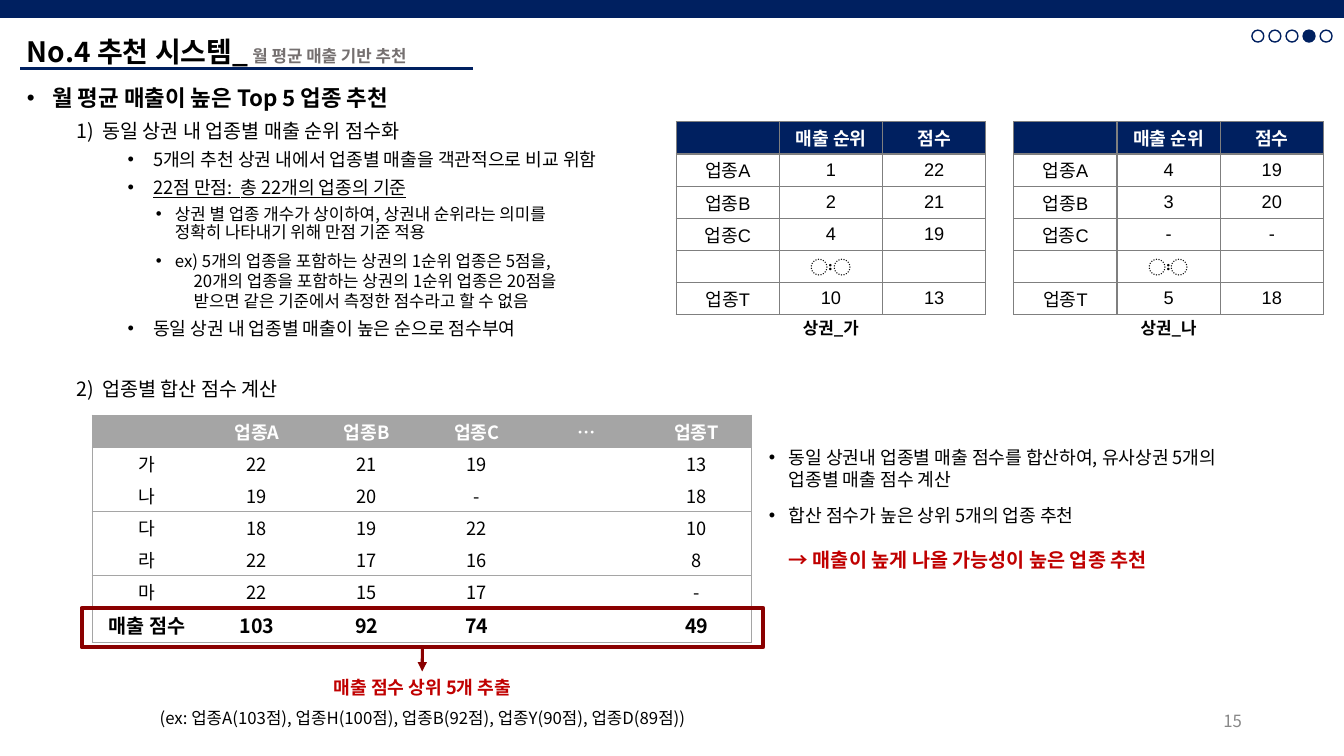
from lxml import etree
from pptx import Presentation
from pptx.dml import color
from pptx.enum import shapes, text
from pptx.oxml import ns
from pptx.util import Cm, Pt

NOTO = "Noto Sans CJK KR"
NAVY, GRAY, RED, MAROON = "002060", "A5A5A5", "C00000", "8A0000"
BLACK, WHITE = "000000", "FFFFFF"
LEFT, CENTER, RIGHT = text.PP_ALIGN.LEFT, text.PP_ALIGN.CENTER, text.PP_ALIGN.RIGHT


def rgb(value):
    return color.RGBColor.from_string(value)


def add_xml(parent, tag, **attributes):
    return etree.SubElement(parent, ns.qn(tag), attributes)


def style_span(span, size, hue=BLACK, bold=False, underline=False, font=NOTO):
    span.font.size = Pt(size)
    span.font.bold = bold
    span.font.underline = underline
    span.font.color.rgb = rgb(hue)
    span.font.name = font
    add_xml(span._r.get_or_add_rPr(), "a:ea", typeface=NOTO)


def add_bullet(para, bullet, left, hanging, level):
    props = para._p.get_or_add_pPr()
    props.set("marL", str(Cm(left)))
    props.set("indent", str(-Cm(hanging)))
    para.level = level
    if bullet == "•":
        add_xml(add_xml(props, "a:buClr"), "a:srgbClr", val=BLACK)
        add_xml(props, "a:buFont", typeface="Arial")
        add_xml(props, "a:buChar", char=bullet)
    elif bullet:
        add_xml(props, "a:buFont", typeface=NOTO)
        add_xml(props, "a:buAutoNum", type="arabicParenR", startAt=str(bullet))
    else:
        add_xml(props, "a:buNone")


def add_box(page, left, top, width, height):
    frame = page.shapes.add_textbox(Cm(left), Cm(top), Cm(width), Cm(height)).text_frame
    frame.word_wrap = True
    return frame


def write(frame, words, size, pitch=1.2, before=0, align=LEFT, **style):
    para = frame.paragraphs[0]
    if para.text:
        para = frame.add_paragraph()
    para.text = words
    para.alignment = align
    para.line_spacing = Pt(round(size * pitch, 1))
    para.space_before = Pt(before)
    for span in para.runs:
        style_span(span, size, **style)
    return para


def add_plain(page, kind, left, top, width, height, fill, line, weight):
    shape = page.shapes.add_shape(kind, Cm(left), Cm(top), Cm(width), Cm(height))
    shape.shadow.inherit = False
    if fill:
        shape.fill.solid()
        shape.fill.fore_color.rgb = rgb(fill)
    else:
        shape.fill.background()
    shape.line.color.rgb = rgb(line)
    shape.line.width = Pt(weight)
    return shape


def add_line(page, start, end, hue):
    line = page.shapes.add_connector(shapes.MSO_CONNECTOR.STRAIGHT, *map(Cm, start + end))
    line.line.color.rgb = rgb(hue)
    line.line.width = Pt(2.25)
    add_xml(line._element.spPr, "a:effectLst")
    return line


def set_borders(cell, borders):
    props = cell._tc.get_or_add_tcPr()
    for side in "LRTB":
        hue, weight = borders.get(side, (None, 0))
        line = add_xml(props, "a:ln" + side, w=str(Pt(weight)))
        if hue:
            add_xml(add_xml(line, "a:solidFill"), "a:srgbClr", val=hue)
        else:
            add_xml(line, "a:noFill")


def fill_cell(cell, words, fill, borders, size, **style):
    set_borders(cell, borders)
    if fill:
        cell.fill.solid()
        cell.fill.fore_color.rgb = rgb(fill)
    else:
        cell.fill.background()
    cell.margin_top = cell.margin_bottom = 0
    cell.vertical_anchor = text.MSO_ANCHOR.MIDDLE
    para = cell.text_frame.paragraphs[0]
    para.text = words
    para.alignment = CENTER
    for span in para.runs:
        style_span(span, size, **style)
    if not words:
        add_xml(para._p, "a:endParaRPr", sz=str(size * 100))


def add_grid(page, left, top, column, row, rows):
    count = len(rows[0])
    grid = page.shapes.add_table(len(rows), count, Cm(left), Cm(top),
                                 Cm(column * count), Cm(row * len(rows))).table
    grid.first_row = grid.horz_banding = False
    for item in grid.columns:
        item.width = Cm(column)
    for item in grid.rows:
        item.height = Cm(row)
    return grid


def add_rank_table(page, left, name, ranks):
    labels = ["업종A", "업종B", "업종C", "", "업종T"]
    rows = [("", "매출 순위", "점수")] + [(label, *pair) for label, pair in zip(labels, ranks)]
    grid = add_grid(page, left, 3.07, 2.6, 0.81, rows)
    borders = dict.fromkeys("LRTB", ("7F7F7F", 1))
    for r, row in enumerate(rows):
        for c, words in enumerate(row):
            fill_cell(grid.cell(r, c), words, WHITE if r else NAVY, borders, 13,
                      hue=BLACK if r else WHITE, bold=r == 0,
                      font=NOTO if words == "〯" else "Arial")
    caption = add_box(page, left + 2.73, 7.87, 2.34, 0.76)
    write(caption, "상권_" + name, 12, align=CENTER, bold=True)


def add_score_table(page):
    rows = [("", "업종A", "업종B", "업종C", "…", "업종T"),
            ("가", "22", "21", "19", "", "13"),
            ("나", "19", "20", "-", "", "18"),
            ("다", "18", "19", "22", "", "10"),
            ("라", "22", "17", "16", "", "8"),
            ("마", "22", "15", "17", "", "-"),
            ("매출 점수", "103", "92", "74", "", "49")]
    grid = add_grid(page, 2.32, 10.46, 2.77, 0.81, rows)
    last = len(rows) - 1
    grid.rows[last].height = Cm(0.86)
    thin, total = (GRAY, 0.75), (BLACK, 1)
    rules = {0: thin, 1: thin, 3: thin, 5: thin, last: total, last + 1: thin}
    for r, row in enumerate(rows):
        for c, words in enumerate(row):
            borders = {"T": rules.get(r, (None, 0)), "B": rules.get(r + 1, (None, 0))}
            if c == 0:
                borders["L"] = thin
            if c == len(row) - 1:
                borders["R"] = thin
            fill_cell(grid.cell(r, c), words, None if r else GRAY, borders,
                      14 if r == last else 13, hue=BLACK if r else WHITE, bold=r in (0, last))


def add_outline(page):
    frame = add_box(page, 0.43, 2.08, 16, 8.4)
    tight = 1.07
    items = [
        ("월 평균 매출이 높은 Top 5 업종 추천", 16, tight, 0, "•", 0.64, 0.64, 0, {"bold": True}),
        ("동일 상권 내 업종별 매출 순위 점수화", 14, tight, 7, 1, 1.9, 0.64, 1, {}),
        ("5개의 추천 상권 내에서 업종별 매출을 객관적으로 비교 위함", 13, tight, 6, "•", 3.18, 0.64, 2, {}),
        ("22점 만점:  총 22개의 업종의 기준", 13, tight, 6, "•", 3.18, 0.64, 2, {"underline": True}),
        ("상권 별 업종 개수가 상이하여, 상권내 순위라는 의미를\n정확히 나타내기 위해 만점 기준 적용",
         12, tight, 6, "•", 3.73, 0.48, 3, {}),
        ("ex) 5개의 업종을 포함하는 상권의 1순위 업종은 5점을,", 12, 1.2, 6, "•", 3.73, 0.48, 3, {}),
        ("20개의 업종을 포함하는 상권의 1순위 업종은 20점을\n받으면 같은 기준에서 측정한 점수라고 할 수 없음",
         12, 1.2, 0, None, 4.2, 0, 3, {}),
        ("동일 상권 내 업종별 매출이 높은 순으로 점수부여", 13, tight, 6, "•", 3.18, 0.64, 2, {}),
        ("업종별 합산 점수 계산", 14, tight, 29, 2, 1.9, 0.64, 1, {})]
    for words, size, pitch, before, bullet, left, hanging, level, style in items:
        para = write(frame, words, size, pitch, before, **style)
        add_bullet(para, bullet, left, hanging, level)


def add_conclusion(page):
    frame = add_box(page, 19.13, 11.13, 13.8, 4)
    notes = [("동일 상권내 업종별 매출 점수를 합산하여, 유사상권 5개의\n업종별 매출 점수 계산", 1.2, 0),
             ("합산 점수가 높은 상위 5개의 업종 추천", 1.07, 12)]
    for words, pitch, before in notes:
        add_bullet(write(frame, words, 13, pitch, before), "•", 0.5, 0.5, 0)
    result = write(frame, "→ 매출이 높게 나올 가능성이 높은 업종 추천", 14, 1.07, 17, hue=RED, bold=True)
    add_bullet(result, None, 0.5, 0, 0)


def add_header(page):
    title = add_box(page, 0.43, 0.74, 11.53, 1.12)
    para = write(title, "No.4 추천 시스템_", 20, bold=True)
    subtitle = para.add_run()
    subtitle.text = " 월 평균 매출 기반 추천"
    style_span(subtitle, 12, "757070", bold=True)
    add_line(page, (0.51, 1.73), (11.91, 1.73), NAVY)
    add_plain(page, shapes.MSO_SHAPE.RECTANGLE, 0, 0, 33.87, 0.43, NAVY, NAVY, 1)
    for step in range(5):
        add_plain(page, shapes.MSO_SHAPE.OVAL, 31.55 + 0.43 * step, 0.76, 0.3, 0.3,
                  NAVY if step == 3 else WHITE, NAVY, 1)


def add_total(page):
    frame = add_plain(page, shapes.MSO_SHAPE.RECTANGLE, 2.06, 15.32, 17.17, 0.99, None, MAROON, 3)
    arrow = add_line(page, (10.64, 16.31), (10.64, 16.92), MAROON)
    arrow.begin_connect(frame, 2)
    add_xml(arrow.line._get_or_add_ln(), "a:tailEnd", type="triangle")
    box = add_box(page, 2.67, 16.92, 15.95, 1.55)
    write(box, "매출 점수 상위 5개 추출", 13, align=CENTER, hue=RED, bold=True)
    write(box, "(ex: 업종A(103점), 업종H(100점), 업종B(92점), 업종Y(90점), 업종D(89점))",
          12, before=7, align=CENTER)


def main():
    deck = Presentation()
    deck.slide_width, deck.slide_height = Cm(33.87), Cm(19.05)
    page = deck.slides.add_slide(deck.slide_layouts[6])
    add_outline(page)
    add_conclusion(page)
    add_header(page)
    add_score_table(page)
    add_rank_table(page, 17.04, "가", [("1", "22"), ("2", "21"), ("4", "19"), ("〯", ""), ("10", "13")])
    add_rank_table(page, 25.55, "나", [("4", "19"), ("3", "20"), ("-", "-"), ("〯", ""), ("5", "18")])
    add_total(page)
    number = add_box(page, 23.93, 17.65, 7.62, 1.02)
    number.vertical_anchor = text.MSO_ANCHOR.MIDDLE
    write(number, "15", 12, align=RIGHT, hue="888888")
    deck.save("out.pptx")


if __name__ == "__main__":
    main()
